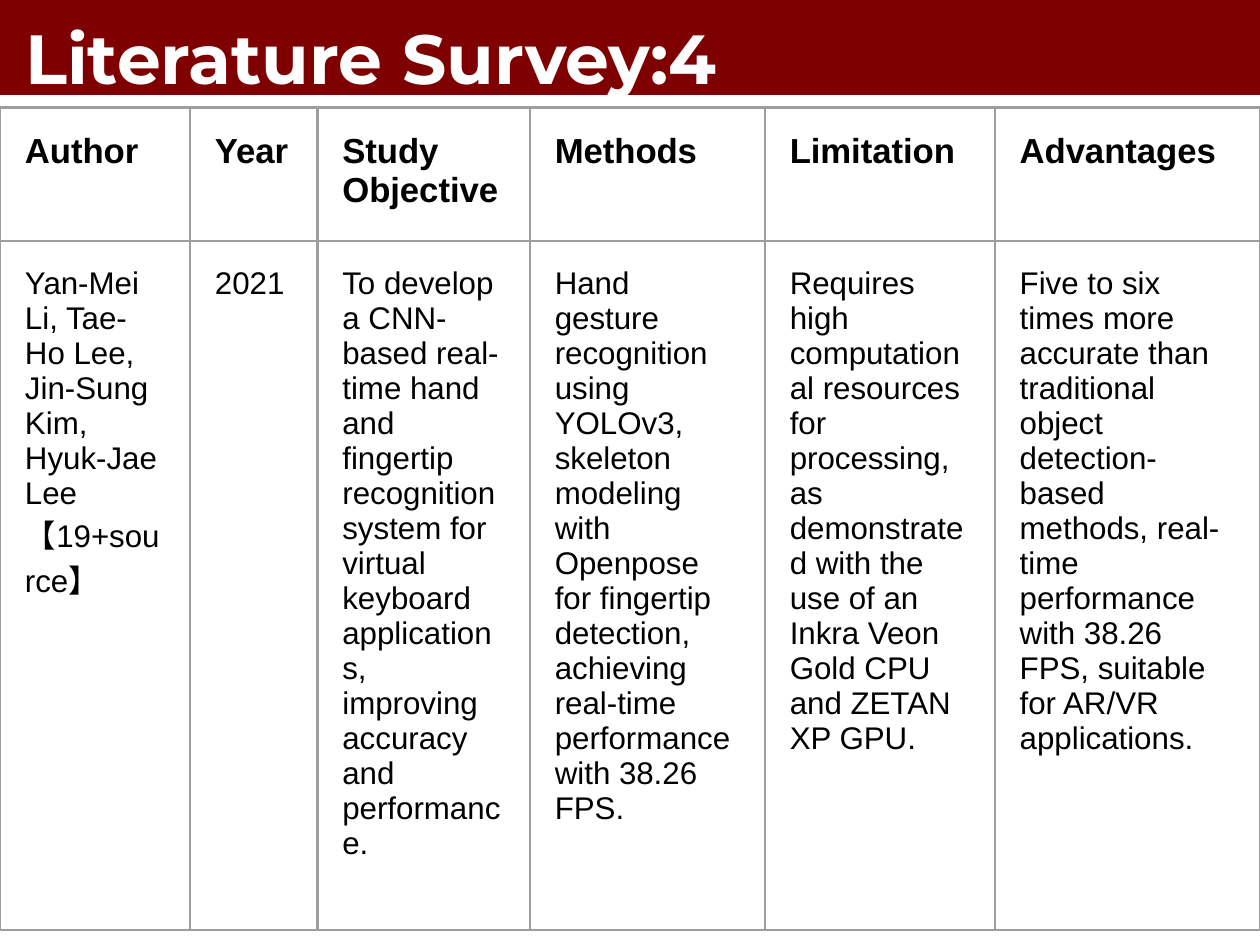
from dataclasses import dataclass

from lxml import etree
from pptx import Presentation
from pptx import util as u
from pptx.dml.color import RGBColor
from pptx.enum import shapes, text
from pptx.oxml import ns

WIDTH, HEIGHT = u.Pt(363), u.Pt(272.5)


@dataclass(frozen=True)
class Theme:
    band: str = "7F0000"
    title: str = "FFFFFF"
    ink: str = "000000"
    rule: str = "9E9E9E"
    rule_pt: float = 0.75
    title_font: str = "Montserrat"
    body_font: str = "Arial"
    title_pt: int = 20
    head_pt: int = 10
    body_pt: int = 9


THEME = Theme()
CELL_PAD = u.Inches(0.1)
COLUMN_WEIGHTS = [76, 51, 85, 94, 92, 106]
ROW_WEIGHTS = [53, 275]
SURVEY = [
    ["Author", "Year", "Study Objective", "Methods", "Limitation", "Advantages"],
    [
        "Yan-Mei Li, Tae-Ho Lee, Jin-Sung Kim, Hyuk-Jae Lee【19+source】",
        "2021",
        "To develop a CNN-based real-time hand and fingertip recognition system "
        "for virtual keyboard applications, improving accuracy and performance.",
        "Hand gesture recognition using YOLOv3, skeleton modeling with Openpose "
        "for fingertip detection, achieving real-time performance with 38.26 FPS.",
        "Requires high computational resources for processing, as demonstrated "
        "with the use of an Inkra Veon Gold CPU and ZETAN XP GPU.",
        "Five to six times more accurate than traditional object detection-based "
        "methods, real-time performance with 38.26 FPS, suitable for AR/VR "
        "applications.",
    ],
]


def set_all(obj, values):
    for name, value in values.items():
        setattr(obj, name, value)


def margins(pad):
    return {f"margin_{side}": pad for side in ("left", "top", "right", "bottom")}


def write(tf, words, color, **font):
    r = tf.paragraphs[0].add_run()
    r.text = words
    set_all(r.font, font)
    r.font.color.rgb = RGBColor.from_string(color)


def add_header(slide, left, top, width, height):
    sp = slide.shapes.add_shape(
        shapes.MSO_SHAPE.RECTANGLE, left, top, width, height)
    sp.shadow.inherit = False
    sp.fill.solid()
    sp.fill.fore_color.rgb = RGBColor.from_string(THEME.band)
    sp.line.fill.background()

    title = slide.shapes.add_textbox(
        left + int(width * 0.02), top + int(height * 0.16),
        int(width * 0.83), int(height * 0.9))
    tf = title.text_frame
    set_all(tf, {**margins(0), "word_wrap": True,
                 "vertical_anchor": text.MSO_ANCHOR.TOP})
    write(tf, "Literature Survey:4", THEME.title, name=THEME.title_font,
          size=u.Pt(THEME.title_pt), bold=True)


def add_borders(cell):
    tc_pr = cell._tc.get_or_add_tcPr()
    for i, side in enumerate("LRTB"):
        ln = etree.Element(ns.qn(f"a:ln{side}"), w=str(u.Pt(THEME.rule_pt)))
        fill = etree.SubElement(ln, ns.qn("a:solidFill"))
        etree.SubElement(fill, ns.qn("a:srgbClr"), val=THEME.rule)
        tc_pr.insert(i, ln)


def add_survey_table(slide, left, top, width, height):
    table = slide.shapes.add_table(
        len(SURVEY), len(SURVEY[0]), left, top, width, height).table
    set_all(table, {"first_row": False, "horz_banding": False})
    for col, weight in zip(table.columns, COLUMN_WEIGHTS):
        col.width = width * weight // sum(COLUMN_WEIGHTS)
    for row, weight in zip(table.rows, ROW_WEIGHTS):
        row.height = height * weight // sum(ROW_WEIGHTS)

    for i, entries in enumerate(SURVEY):
        head = i == 0
        size = THEME.head_pt if head else THEME.body_pt
        for j, words in enumerate(entries):
            cell = table.cell(i, j)
            set_all(cell, {**margins(CELL_PAD),
                           "vertical_anchor": text.MSO_ANCHOR.TOP})
            cell.fill.background()
            add_borders(cell)
            write(cell.text_frame, words, THEME.ink, name=THEME.body_font,
                  size=u.Pt(size), bold=head)


def main():
    prs = Presentation()
    prs.slide_width = WIDTH
    prs.slide_height = HEIGHT
    slide = prs.slides.add_slide(prs.slide_layouts[6])
    add_header(slide, 0, 0, WIDTH, u.Inches(0.38))
    add_survey_table(slide, 0, u.Inches(0.43), WIDTH, u.Inches(3.28))
    prs.save("out.pptx")


if __name__ == "__main__":
    main()
